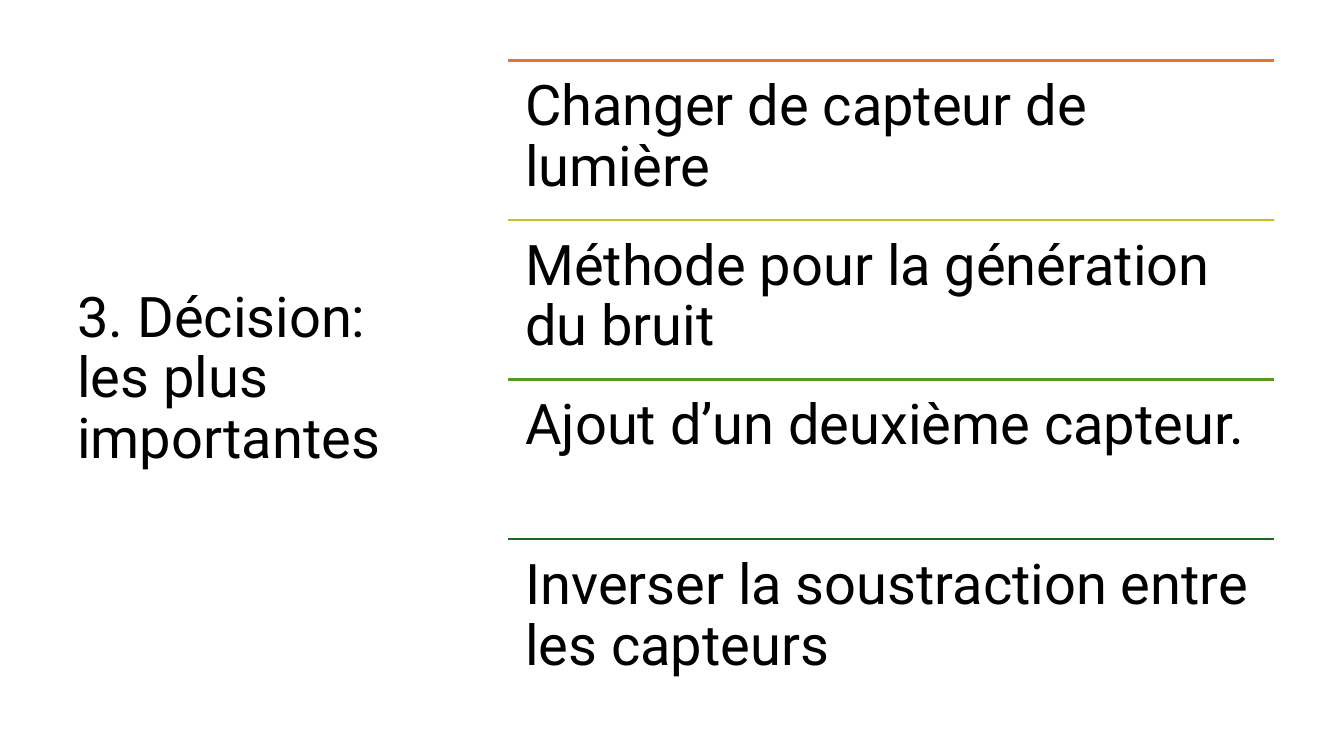
import dataclasses

import pptx
import pptx.dml.color
import pptx.enum.shapes
import pptx.enum.text
import pptx.oxml.ns
import pptx.util
from lxml import etree


@dataclasses.dataclass(frozen=True)
class Theme:
    font: str = "Roboto"
    size: int = 40
    line_spacing: float = 0.9
    text: str = "000000"
    rule_width: float = 1.5
    rules: tuple = ("E97132", "CBC11E", "56991D", "196B24")


@dataclasses.dataclass(frozen=True)
class Box:
    left: float
    top: float
    width: float
    height: float

    def rows(self, count):
        height = self.height / count
        return [Box(self.left, self.top + row * height, self.width, height)
                for row in range(count)]

    def place(self):
        return [pptx.util.Inches(value)
                for value in (self.left, self.top, self.width, self.height)]


THEME = Theme()
SLIDE_WIDTH, SLIDE_HEIGHT = 13.33, 7.5
TOP, HEIGHT = 0.08 * SLIDE_HEIGHT, 0.844 * SLIDE_HEIGHT
TITLE_BOX = Box(0.05 * SLIDE_WIDTH, TOP, 3.82, HEIGHT)
DECISIONS_BOX = Box(5.04, TOP, 7.6, HEIGHT)

TITLE = "3. Décision: les plus importantes"
DECISIONS = (
    "Changer de capteur de lumière",
    "Méthode pour la génération du bruit",
    "Ajout d’un deuxième capteur.",
    "Inverser la soustraction entre les capteurs",
)


def write_text(shape, text, anchor, inset_x, inset_y):
    frame = shape.text_frame
    frame.word_wrap = True
    frame.auto_size = pptx.enum.text.MSO_AUTO_SIZE.NONE
    frame.vertical_anchor = anchor
    frame.margin_left = frame.margin_right = pptx.util.Inches(inset_x)
    frame.margin_top = frame.margin_bottom = pptx.util.Inches(inset_y)
    paragraph = frame.paragraphs[0]
    paragraph.alignment = pptx.enum.text.PP_ALIGN.LEFT
    paragraph.line_spacing = THEME.line_spacing
    run = paragraph.add_run()
    run.text = text
    run.font.name = THEME.font
    run.font.size = pptx.util.Pt(THEME.size)
    run.font.color.rgb = pptx.dml.color.RGBColor.from_string(THEME.text)


def add_title(slide, box):
    title = slide.shapes.title
    title.left, title.top, title.width, title.height = box.place()
    write_text(title, TITLE, pptx.enum.text.MSO_ANCHOR.MIDDLE, 0.1, 0.05)


def add_rule(slide, box, color):
    left, top, width, _ = box.place()
    rule = slide.shapes.add_connector(
        pptx.enum.shapes.MSO_CONNECTOR.STRAIGHT, left, top, left + width, top)
    rule.line.color.rgb = pptx.dml.color.RGBColor.from_string(color)
    rule.line.width = pptx.util.Pt(THEME.rule_width)
    # An empty effect list switches the shadow off
    properties = rule._element.spPr
    etree.SubElement(properties, pptx.oxml.ns.qn("a:effectLst"))


def add_decisions(slide, box):
    rows = box.rows(len(DECISIONS))
    for row, color, decision in zip(rows, THEME.rules, DECISIONS):
        add_rule(slide, row, color)
        label = slide.shapes.add_textbox(*row.place())
        write_text(label, decision, pptx.enum.text.MSO_ANCHOR.TOP, 0.17, 0.17)


def main():
    presentation = pptx.Presentation()
    presentation.slide_width = pptx.util.Inches(SLIDE_WIDTH)
    presentation.slide_height = pptx.util.Inches(SLIDE_HEIGHT)
    # Title-only layout
    slide = presentation.slides.add_slide(presentation.slide_layouts[5])
    add_title(slide, TITLE_BOX)
    add_decisions(slide, DECISIONS_BOX)
    presentation.save("out.pptx")


if __name__ == "__main__":
    main()
